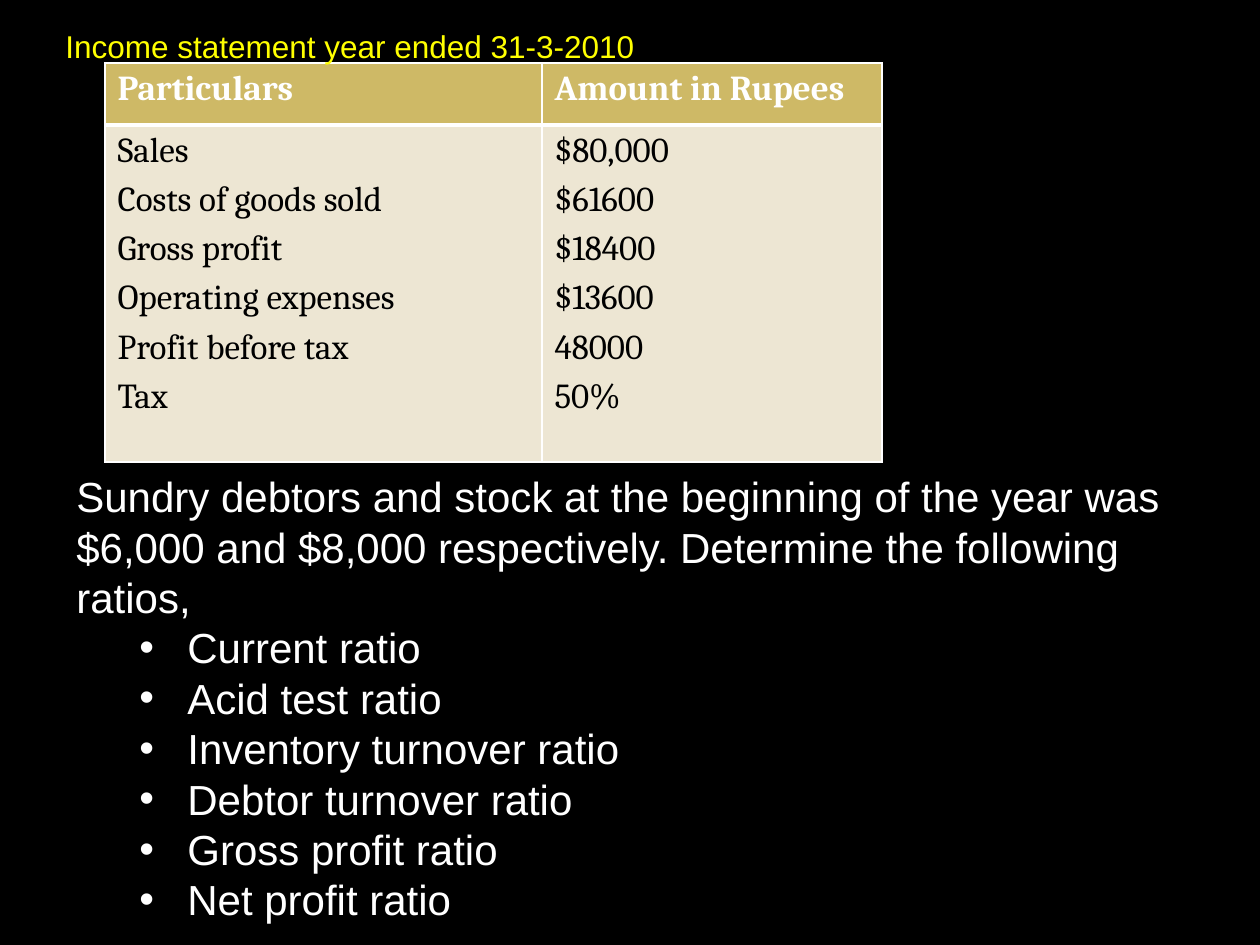
from dataclasses import dataclass

from lxml.etree import SubElement as Sub
from pptx import Presentation
from pptx.dml.color import RGBColor as Rgb
from pptx.enum.text import MSO_ANCHOR as Anchor, MSO_AUTO_SIZE as Fit
from pptx.oxml.ns import qn
from pptx.util import Emu, Pt

PX = 914400 // 126


@dataclass(frozen=True)
class Theme:
    back: str = "000000"
    head: str = "CEB966"
    body: str = "EDE6D3"
    line: str = "FFFFFF"
    thin: int = 1
    thick: int = 3
    gap: int = 5


THEME = Theme()
TITLE = {"name": "Arial", "size": Pt(18), "color": "FFFF00"}
NOTE = {"name": "Arial", "size": Pt(24), "color": "FFFFFF"}
HEAD = {"name": "Cambria", "size": Pt(20), "bold": True, "color": "FFFFFF"}
CELL = {"name": "Cambria", "size": Pt(20), "bold": False, "color": "000000"}

COLS = (("Particulars", 437), ("Amount in Rupees", 340))
ITEMS = (
    ("Sales", "$80,000"),
    ("Costs of goods sold", "$61600"),
    ("Gross profit", "$18400"),
    ("Operating expenses", "$13600"),
    ("Profit before tax", "48000"),
    ("Tax", "50%"),
)
TASK = ("Sundry debtors and stock at the beginning of the year was "
        "$6,000 and $8,000 respectively. Determine the following ratios,")
RATIOS = ("Current ratio", "Acid test ratio", "Inventory turnover ratio",
          "Debtor turnover ratio", "Gross profit ratio", "Net profit ratio")


def px(*nums):
    return [Emu(n * PX) for n in nums]


def write(frame, lines, style):
    paras = []
    for i, line in enumerate(lines):
        para = frame.add_paragraph() if i else frame.paragraphs[0]
        run = para.add_run()
        run.text = line
        for key, val in style.items():
            if key == "color":
                run.font.color.rgb = Rgb.from_string(val)
            else:
                setattr(run.font, key, val)
        paras.append(para)
    return paras


def edge(cell, sides):
    props = cell._tc.get_or_add_tcPr()
    for side, width in sides.items():
        line = Sub(props, qn("a:ln" + side), w=str(Pt(width)))
        fill = Sub(line, qn("a:solidFill"))
        Sub(fill, qn("a:srgbClr"), val=THEME.line)


def bullet(para, left, hang):
    props = para._p.get_or_add_pPr()
    props.set("marL", str(left * PX))
    props.set("indent", str(-hang * PX))
    Sub(props, qn("a:buFont"), typeface="Arial")
    Sub(props, qn("a:buChar"), char="•")


def text(slide, box, wrap, anchor):
    frame = slide.shapes.add_textbox(*px(*box)).text_frame
    form = {"word_wrap": wrap, "auto_size": Fit.SHAPE_TO_FIT_TEXT,
            "vertical_anchor": anchor}
    for key, val in form.items():
        setattr(frame, key, val)
    return frame


def title(slide, box):
    frame = text(slide, box, False, Anchor.TOP)
    write(frame, ["Income statement year ended 31-3-2010"], TITLE)


def income(slide, box, top):
    table = slide.shapes.add_table(2, len(COLS), *px(*box)).table
    table.rows[0].height, table.rows[1].height = px(top, box[3] - top)
    thin, thick = THEME.thin, THEME.thick
    for c, (name, width) in enumerate(COLS):
        table.columns[c].width = px(width)[0]
        rows = (
            ([name], HEAD, THEME.head, thin, thick),
            ([item[c] for item in ITEMS], CELL, THEME.body, thick, thin),
        )
        for r, (lines, style, fill, above, below) in enumerate(rows):
            cell = table.cell(r, c)
            edge(cell, {"L": thin, "R": thin, "T": above, "B": below})
            cell.fill.solid()
            cell.fill.fore_color.rgb = Rgb.from_string(fill)
            for para in write(cell.text_frame, lines, style):
                para.space_after = Pt(THEME.gap)


def task(slide, box):
    frame = text(slide, box, True, Anchor.MIDDLE)
    for para in write(frame, [TASK, *RATIOS], NOTE)[1:]:
        para.level = 1
        bullet(para, 111, 48)


def main():
    deck = Presentation()
    deck.slide_width, deck.slide_height = px(1260, 945)
    slide = deck.slides.add_slide(deck.slide_layouts[6])
    fill = slide.background.fill
    fill.solid()
    fill.fore_color.rgb = Rgb.from_string(THEME.back)
    income(slide, (105, 63, 777, 399), 62)
    task(slide, (64, 462, 1176, 471))
    title(slide, (53, 21, 600, 89))
    deck.save("out.pptx")


if __name__ == "__main__":
    main()
